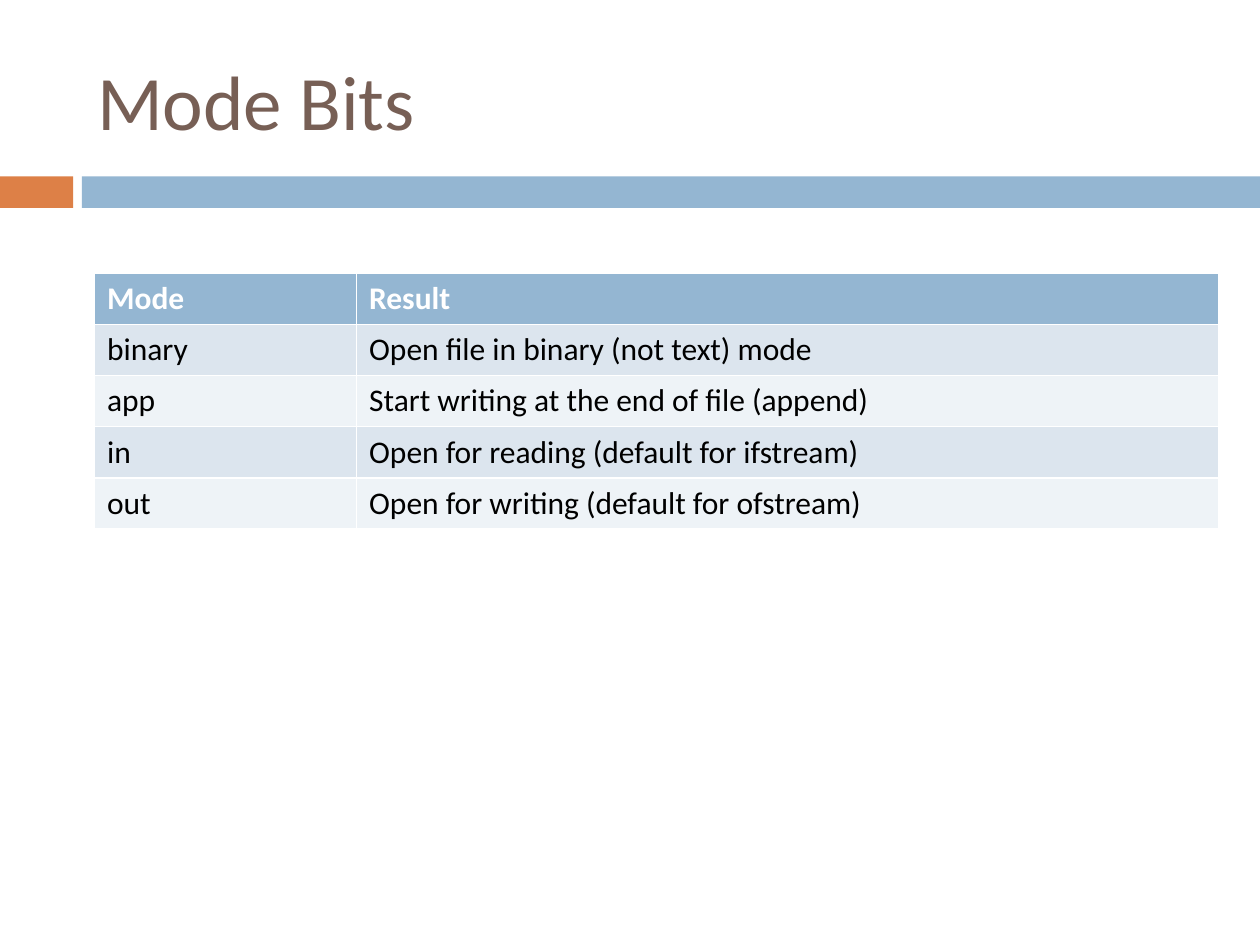
from pptx import Presentation
from pptx.dml.color import RGBColor
from pptx.enum.shapes import MSO_SHAPE
from pptx.enum.text import MSO_ANCHOR, PP_ALIGN
from pptx.util import Inches, Pt

FONT = "Calibri"
BLUE = "94B6D2"
ORANGE = "DD8047"
BROWN = "775F55"
WHITE = "FFFFFF"
BLACK = "000000"
BAND_FILLS = ("DCE5EE", "EEF3F7")

MODE_ROWS = [
    ("Mode", "Result"),
    ("binary", "Open file in binary (not text) mode"),
    ("app", "Start writing at the end of file (append)"),
    ("in", "Open for reading (default for ifstream)"),
    ("out", "Open for writing (default for ofstream)"),
]
COLUMN_WIDTHS = (2.08, 6.84)
ROW_HEIGHT = 0.405


def set_color(color_format, color):
    color_format.rgb = RGBColor.from_string(color)


def set_fill(fill, color):
    fill.solid()
    set_color(fill.fore_color, color)


def set_text(text_frame, text, size, color, bold=False):
    text_frame.text = text
    paragraph = text_frame.paragraphs[0]
    paragraph.alignment = PP_ALIGN.LEFT
    font = paragraph.runs[0].font
    font.name = FONT
    font.size = Pt(size)
    font.bold = bold
    set_color(font.color, color)


def add_bar(slide, left, width, color):
    shape = slide.shapes.add_shape(
        MSO_SHAPE.RECTANGLE, Inches(left), Inches(1.4), Inches(width), Inches(0.25)
    )
    shape.shadow.inherit = False
    set_fill(shape.fill, color)
    shape.line.fill.background()


def place_title(slide, text):
    title = slide.shapes.title
    title.left, title.top = Inches(0.67), Inches(0.25)
    title.width, title.height = Inches(8.92), Inches(1.08)
    title.text_frame.vertical_anchor = MSO_ANCHOR.MIDDLE
    set_text(title.text_frame, text, 44, BROWN)


def add_mode_table(slide):
    table = slide.shapes.add_table(
        len(MODE_ROWS), len(COLUMN_WIDTHS), Inches(0.75), Inches(2.17),
        Inches(sum(COLUMN_WIDTHS)), Inches(ROW_HEIGHT * len(MODE_ROWS)),
    ).table
    for column, width in zip(table.columns, COLUMN_WIDTHS):
        column.width = Inches(width)
    for row_index, texts in enumerate(MODE_ROWS):
        is_header = row_index == 0
        fill_color = BLUE if is_header else BAND_FILLS[(row_index - 1) % 2]
        text_color = WHITE if is_header else BLACK
        for column_index, text in enumerate(texts):
            cell = table.cell(row_index, column_index)
            set_fill(cell.fill, fill_color)
            set_text(cell.text_frame, text, 18, text_color, is_header)


def main():
    presentation = Presentation()
    presentation.slide_width = Inches(10)
    presentation.slide_height = Inches(7.5)
    slide = presentation.slides.add_slide(presentation.slide_layouts[5])
    add_bar(slide, 0, 0.58, ORANGE)
    add_bar(slide, 0.65, 9.35, BLUE)
    place_title(slide, "Mode Bits")
    add_mode_table(slide)
    presentation.save("out.pptx")


if __name__ == "__main__":
    main()
